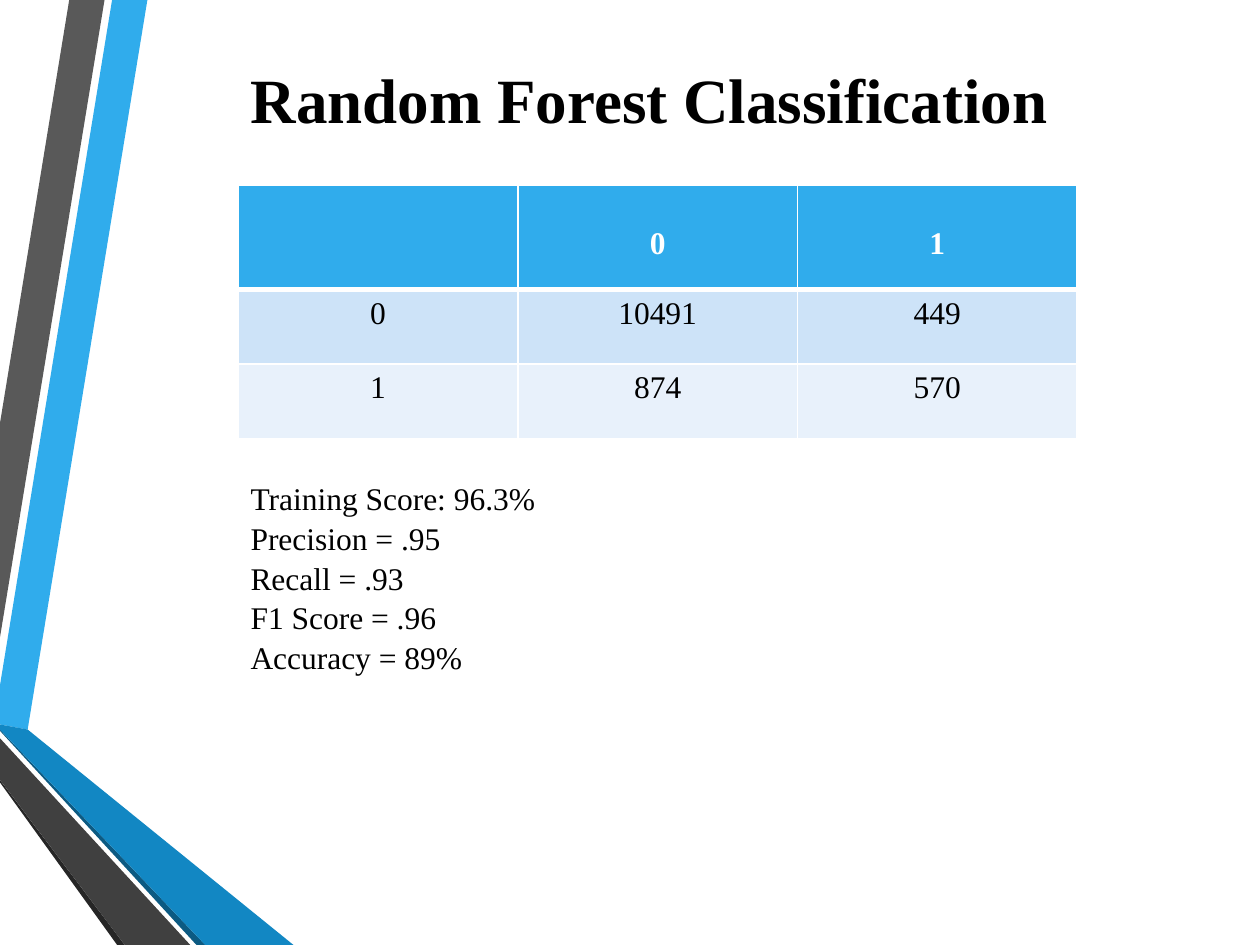
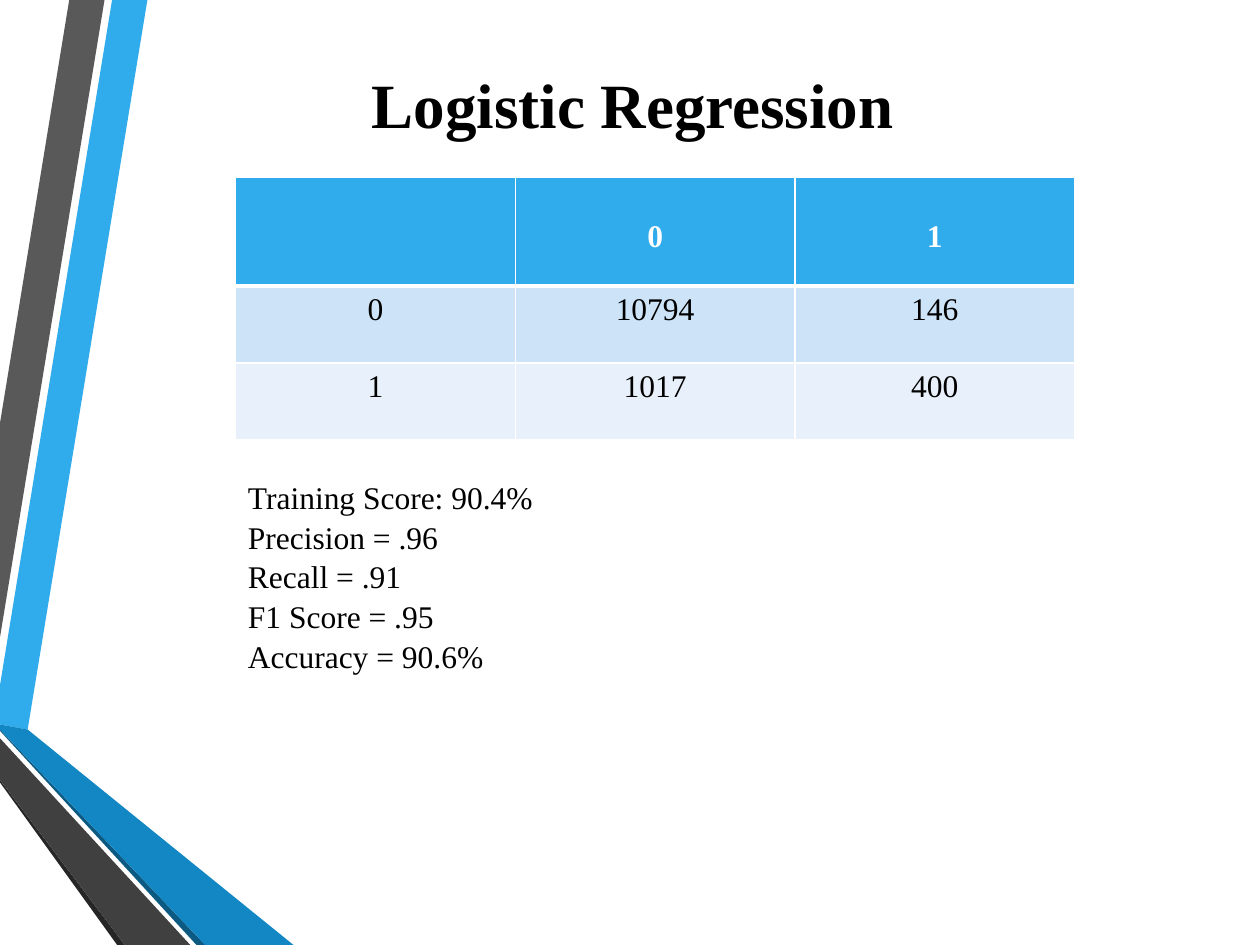
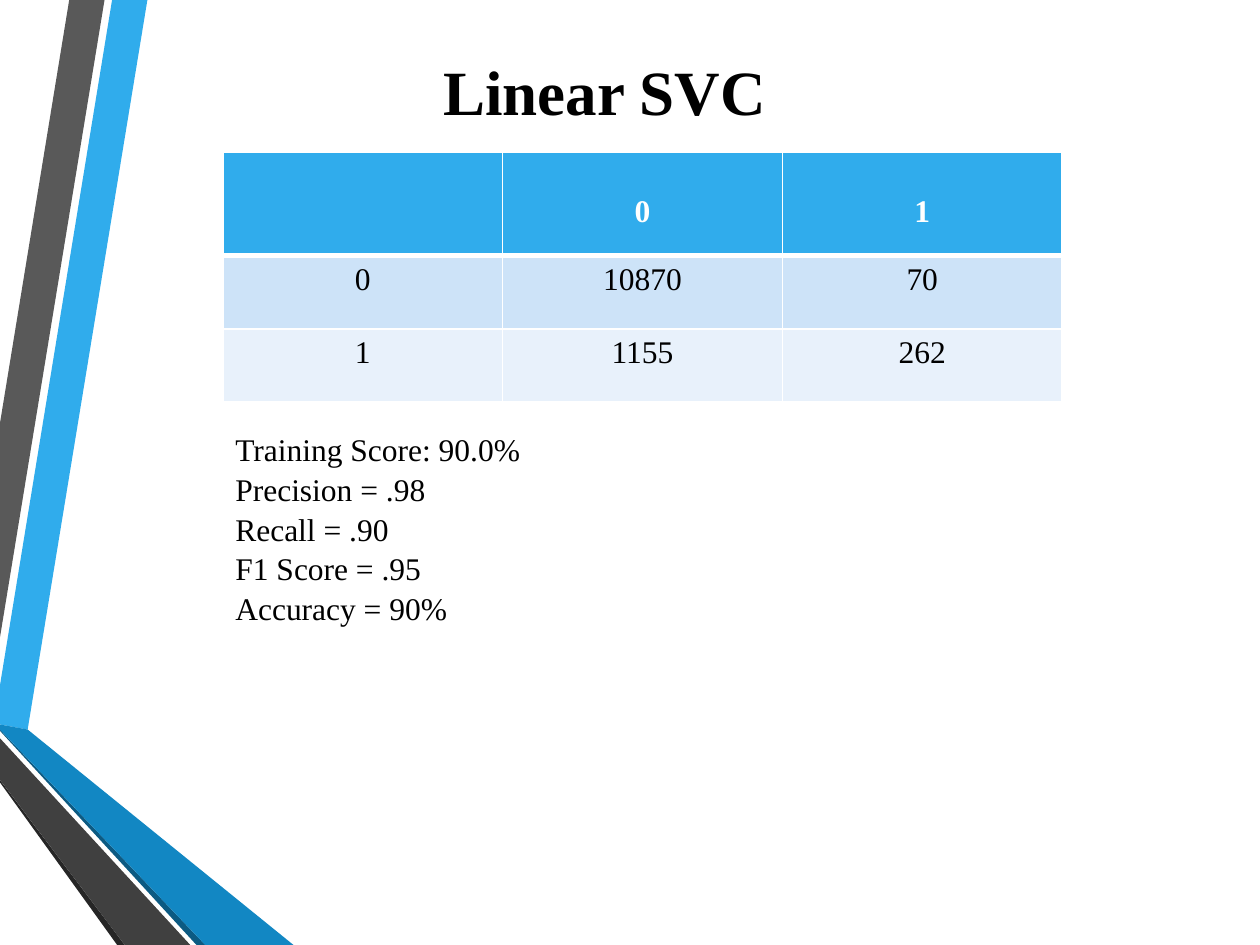
from dataclasses import dataclass

from lxml.etree import SubElement
from pptx import Presentation
from pptx.dml.color import RGBColor
from pptx.enum.text import MSO_ANCHOR, MSO_AUTO_SIZE, PP_ALIGN
from pptx.oxml.ns import qn
from pptx.util import Emu, Pt

SCALE = 9144  # EMU per px, 100 px to the inch


@dataclass(frozen=True)
class Theme:
    font: str = "Times New Roman"
    title_size: int = 36
    body_size: int = 18
    text: str = "000000"
    white: str = "FFFFFF"
    accent: str = "30ACEC"
    accent_dark: str = "1287C3"
    accent_shade: str = "0C5A82"
    gray: str = "595959"
    gray_dark: str = "404040"
    gray_shade: str = "262626"
    row_fills: tuple = ("CDE3F8", "E8F1FB")


THEME = Theme()

RIBBONS = (
    (THEME.accent, [(0, 544), (0, 575), (22, 579), (117, 0), (89, 0)]),
    (THEME.gray, [(83, 0), (55, 0), (0, 336), (0, 506)]),
    (THEME.gray_shade, [(0, 619), (0, 621), (93, 750), (99, 750)]),
    (THEME.accent_shade, [(0, 579), (0, 580), (156, 750), (163, 750)]),
    (THEME.accent_dark, [(0, 579), (163, 750), (233, 750), (22, 579), (0, 575)]),
    (THEME.gray_dark, [(0, 619), (99, 750), (151, 750), (0, 586)]),
)
COLUMN_WIDTH = 222
METRIC_LABELS = ("Training Score: ", "Precision = ", "Recall = ",
                 "F1 Score = ", "Accuracy = ")


@dataclass(frozen=True)
class ModelResult:
    name: str
    title_box: tuple
    left: int
    table_top: int
    row_heights: tuple
    confusion: tuple
    metrics_top: int
    metrics: tuple


RESULTS = (
    ModelResult("Random Forest Classification", (189, 40, 711, 71), 189,
                147, (83, 59, 59), ((10491, 449), (874, 570)),
                374, ("96.3%", ".95", ".93", ".96", "89%")),
    ModelResult("Logistic Regression", (285, 44, 526, 71), 187,
                141, (86, 61, 61), ((10794, 146), (1017, 400)),
                373, ("90.4%", ".96", ".91", ".95", "90.6%")),
    ModelResult("Linear SVC", (342, 34, 411, 71), 177,
                121, (82, 58, 58), ((10870, 70), (1155, 262)),
                335, ("90.0%", ".98", ".90", ".95", "90%")),
)


def px(length):
    return Emu(length * SCALE)


def rgb(color):
    return RGBColor.from_string(color)


def write(frame, text, size=THEME.body_size, color=THEME.text, bold=False,
          align=PP_ALIGN.LEFT, line_spacing=None):
    """Fill a text frame, one paragraph for each line of text."""
    frame.text = text
    for paragraph in frame.paragraphs:
        paragraph.alignment = align
        paragraph.line_spacing = line_spacing
        font = paragraph.font
        for target in (font, *(run.font for run in paragraph.runs)):
            target.name = THEME.font
            target.size = Pt(size)
            target.bold = bold
            target.color.rgb = rgb(color)


def fit_frame(frame):
    frame.word_wrap = True
    frame.auto_size = MSO_AUTO_SIZE.SHAPE_TO_FIT_TEXT
    frame.vertical_anchor = MSO_ANCHOR.TOP


def move_ribbons_to_layout(slide):
    """Draw the ribbons once and hand them to the slide's layout."""
    for color, (start, *corners) in RIBBONS:
        builder = slide.shapes.build_freeform(*start, scale=SCALE)
        builder.add_line_segments(corners, close=True)
        ribbon = builder.convert_to_shape()
        ribbon.shadow.inherit = False
        ribbon.fill.solid()
        ribbon.fill.fore_color.rgb = rgb(color)
        ribbon.line.fill.background()
        slide.slide_layout.shapes.element.append(ribbon.element)


def set_title(slide, text, box):
    title = slide.shapes.title
    title.left, title.top, title.width, title.height = map(px, box)
    fit_frame(title.text_frame)
    write(title.text_frame, text, size=THEME.title_size, bold=True,
          line_spacing=1.05)


def set_borders(cell, top, bottom, side=1):
    properties = cell._tc.get_or_add_tcPr()
    for edge, points in (("L", side), ("R", side), ("T", top), ("B", bottom)):
        line = SubElement(properties, qn(f"a:ln{edge}"), w=str(Pt(points)))
        fill = SubElement(line, qn("a:solidFill"))
        SubElement(fill, qn("a:srgbClr"), val=THEME.white)


def add_confusion_table(slide, left, top, row_heights, confusion):
    rows = [("", 0, 1)] + [(label, *counts)
                           for label, counts in enumerate(confusion)]
    table = slide.shapes.add_table(
        len(rows), len(rows[0]), px(left), px(top),
        px(COLUMN_WIDTH * len(rows[0])), px(sum(row_heights))).table
    for column in table.columns:
        column.width = px(COLUMN_WIDTH)
    fills = (THEME.accent, *THEME.row_fills)
    for r, values in enumerate(rows):
        is_header = r == 0
        table.rows[r].height = px(row_heights[r])
        for c, value in enumerate(values):
            cell = table.cell(r, c)
            set_borders(cell, top=3 if r == 1 else 1,
                        bottom=3 if is_header else 1)
            cell.fill.solid()
            cell.fill.fore_color.rgb = rgb(fills[r])
            if is_header:
                cell.margin_top = px(33)
            write(cell.text_frame, str(value), bold=is_header,
                  color=THEME.white if is_header else THEME.text,
                  align=PP_ALIGN.CENTER)


def add_metrics(slide, left, top, values):
    box = slide.shapes.add_textbox(px(left), px(top), px(596), px(162))
    fit_frame(box.text_frame)
    lines = (label + value for label, value in zip(METRIC_LABELS, values))
    write(box.text_frame, "\n".join(lines), line_spacing=1.05)


def main():
    deck = Presentation()
    deck.slide_width, deck.slide_height = px(1000), px(750)
    title_only = deck.slide_layouts[5]
    for number, result in enumerate(RESULTS):
        slide = deck.slides.add_slide(title_only)
        if number == 0:
            move_ribbons_to_layout(slide)
        set_title(slide, result.name, result.title_box)
        add_confusion_table(slide, result.left, result.table_top,
                            result.row_heights, result.confusion)
        add_metrics(slide, result.left, result.metrics_top, result.metrics)
    deck.save("out.pptx")


if __name__ == "__main__":
    main()
